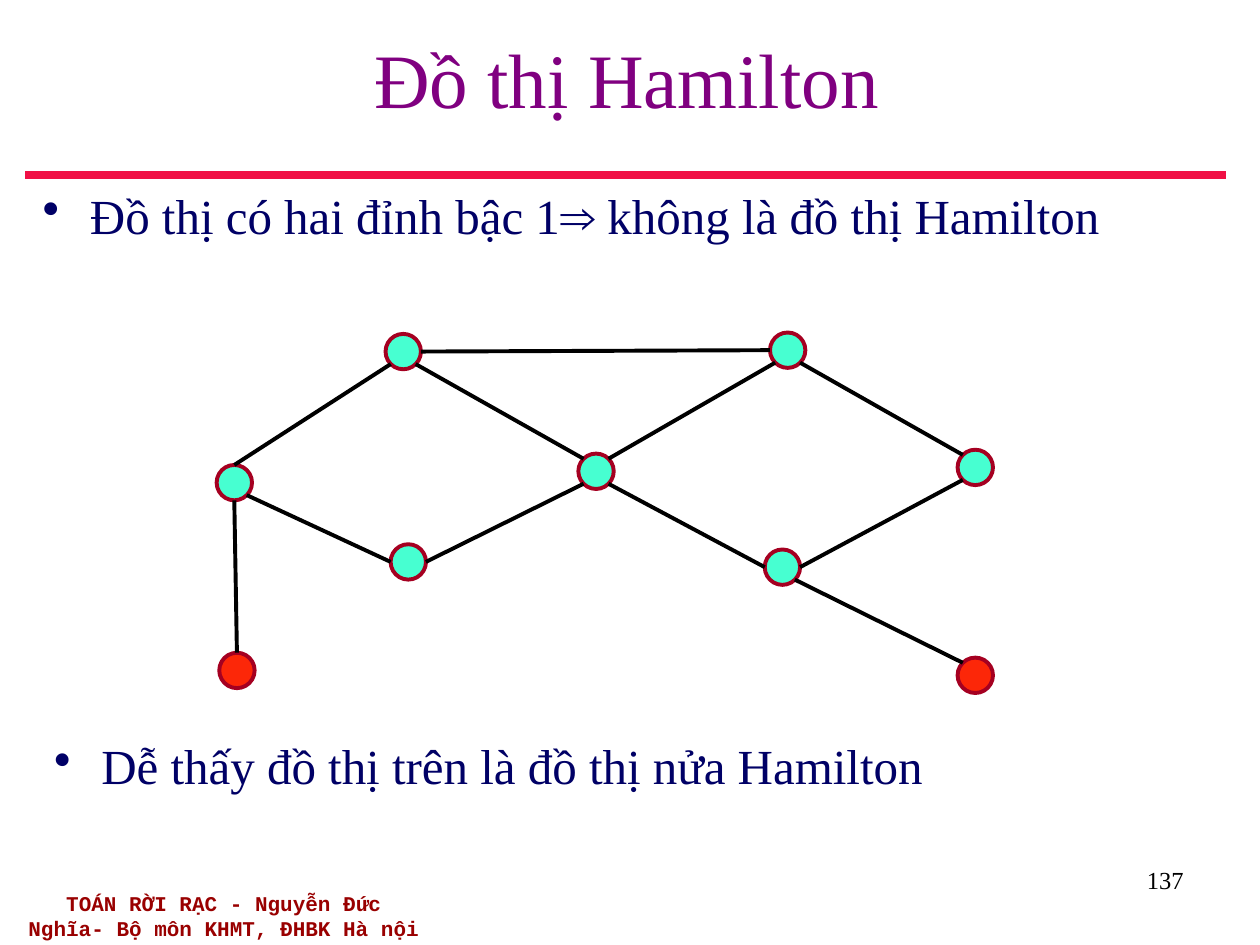
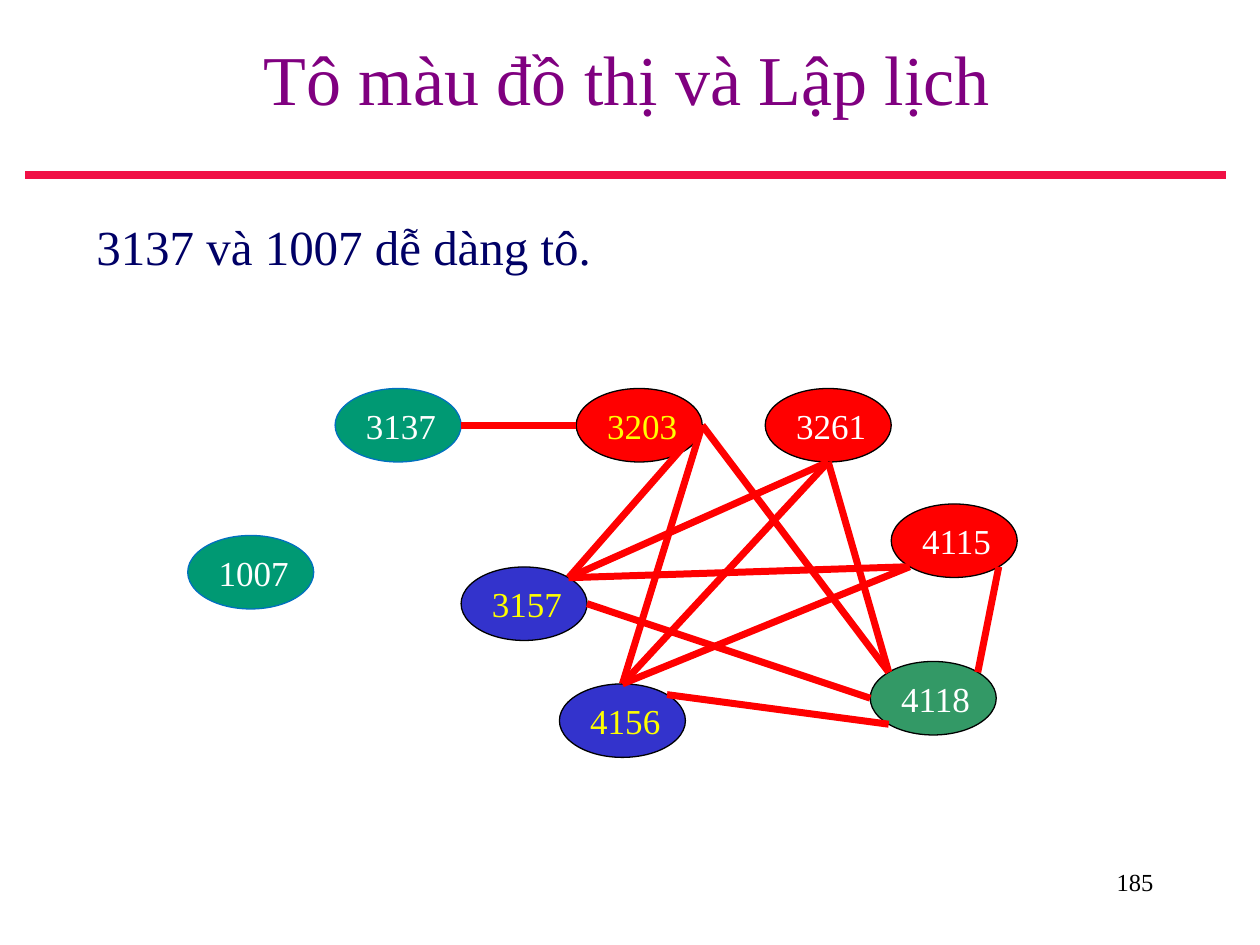
from enum import Enum
from math import cos, radians, sin
from typing import NamedTuple

from lxml.etree import SubElement
from pptx import Presentation
from pptx.dml.color import RGBColor
from pptx.enum.shapes import MSO_CONNECTOR, MSO_SHAPE
from pptx.enum.text import MSO_ANCHOR, PP_ALIGN
from pptx.oxml.ns import qn
from pptx.slide import Slide
from pptx.text.text import TextFrame
from pptx.util import Pt

BLACK = RGBColor(0x00, 0x00, 0x00)
WHITE = RGBColor(0xFF, 0xFF, 0xFF)
YELLOW = RGBColor(0xFF, 0xFF, 0x00)
RED = RGBColor(0xFF, 0x00, 0x00)
BLUE = RGBColor(0x33, 0x33, 0xCC)
TEAL = RGBColor(0x00, 0x99, 0x73)
TEAL_BORDER = RGBColor(0x00, 0x70, 0xC0)
GREEN = RGBColor(0x33, 0x99, 0x66)
MINT = RGBColor(0x47, 0xFF, 0xD1)
ORANGE_RED = RGBColor(0xFC, 0x27, 0x08)
CRIMSON = RGBColor(0xA5, 0x00, 0x21)
TITLE_PURPLE = RGBColor(0x80, 0x00, 0x80)
RULE_RED = RGBColor(0xF0, 0x10, 0x45)
BODY_NAVY = RGBColor(0x00, 0x00, 0x66)
FOOTER_RED = RGBColor(0x99, 0x00, 0x00)

SERIF = "Times New Roman"
MONOSPACE = "Courier New"
HANGING_INDENT = 27


class Box(NamedTuple):
    left: float
    top: float
    width: float
    height: float


class TextStyle(NamedTuple):
    size: float
    color: RGBColor
    align: PP_ALIGN = PP_ALIGN.LEFT
    font: str = SERIF
    bold: bool = False


class Side(Enum):
    RIGHT = 0
    BOTTOM_RIGHT = 45
    BOTTOM = 90
    BOTTOM_LEFT = 135
    LEFT = 180
    TOP_LEFT = 225
    TOP = 270
    TOP_RIGHT = 315


class Vertex(NamedTuple):
    left: float
    top: float
    fill: RGBColor
    border: RGBColor = BLACK
    text_color: RGBColor = WHITE


class Edge(NamedTuple):
    start: str
    start_side: Side
    end: str
    end_side: Side


class GraphStyle(NamedTuple):
    width: float
    height: float
    border_width: float
    edge_color: RGBColor
    edge_width: float
    labelled: bool


BODY_STYLE = TextStyle(28, BODY_NAVY)
NUMBER_STYLE = TextStyle(14, BLACK, PP_ALIGN.RIGHT)
FOOTER_STYLE = TextStyle(12, FOOTER_RED, PP_ALIGN.CENTER, MONOSPACE, True)

HAMILTON_STYLE = GraphStyle(20.2, 20.2, 2.25, BLACK, 2.25, False)
HAMILTON_VERTICES = {
    "upper left": Vertex(220.3, 190.8, MINT, CRIMSON),
    "upper right": Vertex(440, 190, MINT, CRIMSON),
    "left": Vertex(123.8, 265.7, MINT, CRIMSON),
    "center": Vertex(330.5, 259.2, MINT, CRIMSON),
    "right": Vertex(547.2, 257, MINT, CRIMSON),
    "lower left": Vertex(223.2, 311, MINT, CRIMSON),
    "lower right": Vertex(437, 314, MINT, CRIMSON),
    "left leaf": Vertex(125.3, 373, ORANGE_RED, CRIMSON),
    "right leaf": Vertex(547.2, 375.8, ORANGE_RED, CRIMSON),
}
HAMILTON_EDGES = [
    Edge("upper right", Side.BOTTOM_LEFT, "center", Side.TOP_RIGHT),
    Edge("upper right", Side.BOTTOM_RIGHT, "right", Side.TOP_LEFT),
    Edge("lower right", Side.LEFT, "center", Side.BOTTOM_RIGHT),
    Edge("lower right", Side.RIGHT, "right", Side.BOTTOM_LEFT),
    Edge("left", Side.BOTTOM, "left leaf", Side.TOP),
    Edge("center", Side.BOTTOM_LEFT, "lower left", Side.RIGHT),
    Edge("lower right", Side.BOTTOM_RIGHT, "right leaf", Side.TOP_LEFT),
    Edge("lower left", Side.LEFT, "left", Side.BOTTOM_RIGHT),
    Edge("left", Side.TOP, "upper left", Side.BOTTOM_LEFT),
    Edge("center", Side.TOP_LEFT, "upper left", Side.BOTTOM_RIGHT),
    Edge("upper right", Side.LEFT, "upper left", Side.RIGHT),
]

COURSE_STYLE = GraphStyle(72, 42, 0.75, RED, 4, True)
COURSE_VERTICES = {
    "1007": Vertex(107.3, 306, TEAL, TEAL_BORDER),
    "3137": Vertex(191.5, 222, TEAL, TEAL_BORDER),
    "3157": Vertex(263.5, 324, BLUE, text_color=YELLOW),
    "3203": Vertex(329.3, 222, RED, text_color=YELLOW),
    "4115": Vertex(509.3, 288, RED),
    "3261": Vertex(437.3, 222, RED),
    "4156": Vertex(319.7, 390.8, BLUE, text_color=YELLOW),
    "4118": Vertex(497.3, 378, GREEN),
}
COURSE_EDGES = [
    Edge("3137", Side.RIGHT, "3203", Side.LEFT),
    Edge("3157", Side.TOP_RIGHT, "3203", Side.RIGHT),
    Edge("4156", Side.TOP, "3203", Side.RIGHT),
    Edge("4118", Side.LEFT, "3157", Side.RIGHT),
    Edge("4115", Side.BOTTOM_LEFT, "3157", Side.TOP_RIGHT),
    Edge("3261", Side.BOTTOM, "3157", Side.TOP_RIGHT),
    Edge("4118", Side.BOTTOM_LEFT, "4156", Side.TOP_RIGHT),
    Edge("4118", Side.TOP_LEFT, "3261", Side.BOTTOM),
    Edge("4118", Side.TOP_LEFT, "3203", Side.RIGHT),
    Edge("4118", Side.TOP_RIGHT, "4115", Side.BOTTOM_RIGHT),
    Edge("3261", Side.BOTTOM, "4156", Side.TOP),
    Edge("4156", Side.TOP, "4115", Side.BOTTOM_LEFT),
]


def write_text(text_frame: TextFrame, text: str, style: TextStyle) -> None:
    text_frame.text = text
    paragraph = text_frame.paragraphs[0]
    paragraph.alignment = style.align
    for run in paragraph.runs:
        run.font.name = style.font
        run.font.size = Pt(style.size)
        run.font.bold = style.bold
        run.font.color.rgb = style.color


def add_text(slide: Slide, box: Box, text: str, style: TextStyle) -> TextFrame:
    shape = slide.shapes.add_textbox(*(Pt(length) for length in box))
    text_frame = shape.text_frame
    text_frame.word_wrap = True
    write_text(text_frame, text, style)
    return text_frame


def add_body(slide: Slide, box: Box, text: str, bullet: bool) -> None:
    text_frame = add_text(slide, box, text, BODY_STYLE)
    properties = text_frame.paragraphs[0]._p.get_or_add_pPr()
    properties.set("marL", str(Pt(HANGING_INDENT)))
    properties.set("indent", str(-Pt(HANGING_INDENT)))
    if bullet:
        SubElement(properties, qn("a:buChar")).set("char", "•")
    else:
        SubElement(properties, qn("a:buNone"))


def add_line(slide: Slide, start: tuple[float, float], end: tuple[float, float],
             color: RGBColor, width: float) -> None:
    ends = (Pt(length) for length in (*start, *end))
    connector = slide.shapes.add_connector(MSO_CONNECTOR.STRAIGHT, *ends)
    connector.line.color.rgb = color
    connector.line.width = Pt(width)
    SubElement(connector._element.spPr, qn("a:effectLst"))


def side_point(vertex: Vertex, side: Side, style: GraphStyle) -> tuple[float, float]:
    angle = radians(side.value)
    return (vertex.left + style.width / 2 * (1 + cos(angle)),
            vertex.top + style.height / 2 * (1 + sin(angle)))


def add_vertex(slide: Slide, label: str, vertex: Vertex, style: GraphStyle) -> None:
    box = Box(vertex.left, vertex.top, style.width, style.height)
    shape = slide.shapes.add_shape(MSO_SHAPE.OVAL, *(Pt(length) for length in box))
    shape.shadow.inherit = False
    shape.fill.solid()
    shape.fill.fore_color.rgb = vertex.fill
    shape.line.color.rgb = vertex.border
    shape.line.width = Pt(style.border_width)
    if style.labelled:
        shape.text_frame.word_wrap = False
        shape.text_frame.vertical_anchor = MSO_ANCHOR.MIDDLE
        write_text(shape.text_frame, label, TextStyle(20, vertex.text_color))


def add_graph(slide: Slide, vertices: dict[str, Vertex], edges: list[Edge],
              style: GraphStyle) -> None:
    for label, vertex in vertices.items():
        add_vertex(slide, label, vertex, style)
    for edge in edges:
        start = side_point(vertices[edge.start], edge.start_side, style)
        end = side_point(vertices[edge.end], edge.end_side, style)
        add_line(slide, start, end, style.edge_color, style.edge_width)


def add_titled_slide(presentation: Presentation, title: str, title_size: float,
                     number: str, number_box: Box) -> Slide:
    slide = presentation.slides.add_slide(presentation.slide_layouts[6])
    add_line(slide, (14.4, 100), (700.5, 100), RULE_RED, 4.5)
    title_style = TextStyle(title_size, TITLE_PURPLE, PP_ALIGN.CENTER)
    title_frame = add_text(slide, Box(14.4, 0, 687.6, 88.5), title, title_style)
    title_frame.vertical_anchor = MSO_ANCHOR.MIDDLE
    add_text(slide, number_box, number, NUMBER_STYLE)
    return slide


def build_hamilton_slide(presentation: Presentation) -> None:
    slide = add_titled_slide(presentation, "Đồ thị Hamilton", 44,
                             "137", Box(515.5, 491, 168, 37.5))
    add_body(slide, Box(17.3, 102.2, 687.6, 57),
             "Đồ thị có hai đỉnh bậc 1⇒ không là đồ thị Hamilton", True)
    add_graph(slide, HAMILTON_VERTICES, HAMILTON_EDGES, HAMILTON_STYLE)
    add_body(slide, Box(23.8, 417, 687.6, 57),
             "Dễ thấy đồ thị trên là đồ thị nửa Hamilton", True)
    add_text(slide, Box(8.6, 505.5, 238.5, 28.8),
             "TOÁN RỜI RẠC - Nguyễn Đức Nghĩa- Bộ môn KHMT, ĐHBK Hà nội",
             FOOTER_STYLE)


def build_coloring_slide(presentation: Presentation) -> None:
    slide = add_titled_slide(presentation, "Tô màu đồ thị và Lập lịch", 40,
                             "185", Box(516.2, 491.8, 150, 36))
    add_body(slide, Box(48, 120, 642, 384), "3137 và 1007 dễ dàng tô.", False)
    add_graph(slide, COURSE_VERTICES, COURSE_EDGES, COURSE_STYLE)


def main() -> None:
    presentation = Presentation()
    presentation.slide_width = Pt(720)
    presentation.slide_height = Pt(540)
    build_hamilton_slide(presentation)
    build_coloring_slide(presentation)
    presentation.save("out.pptx")


if __name__ == "__main__":
    main()
